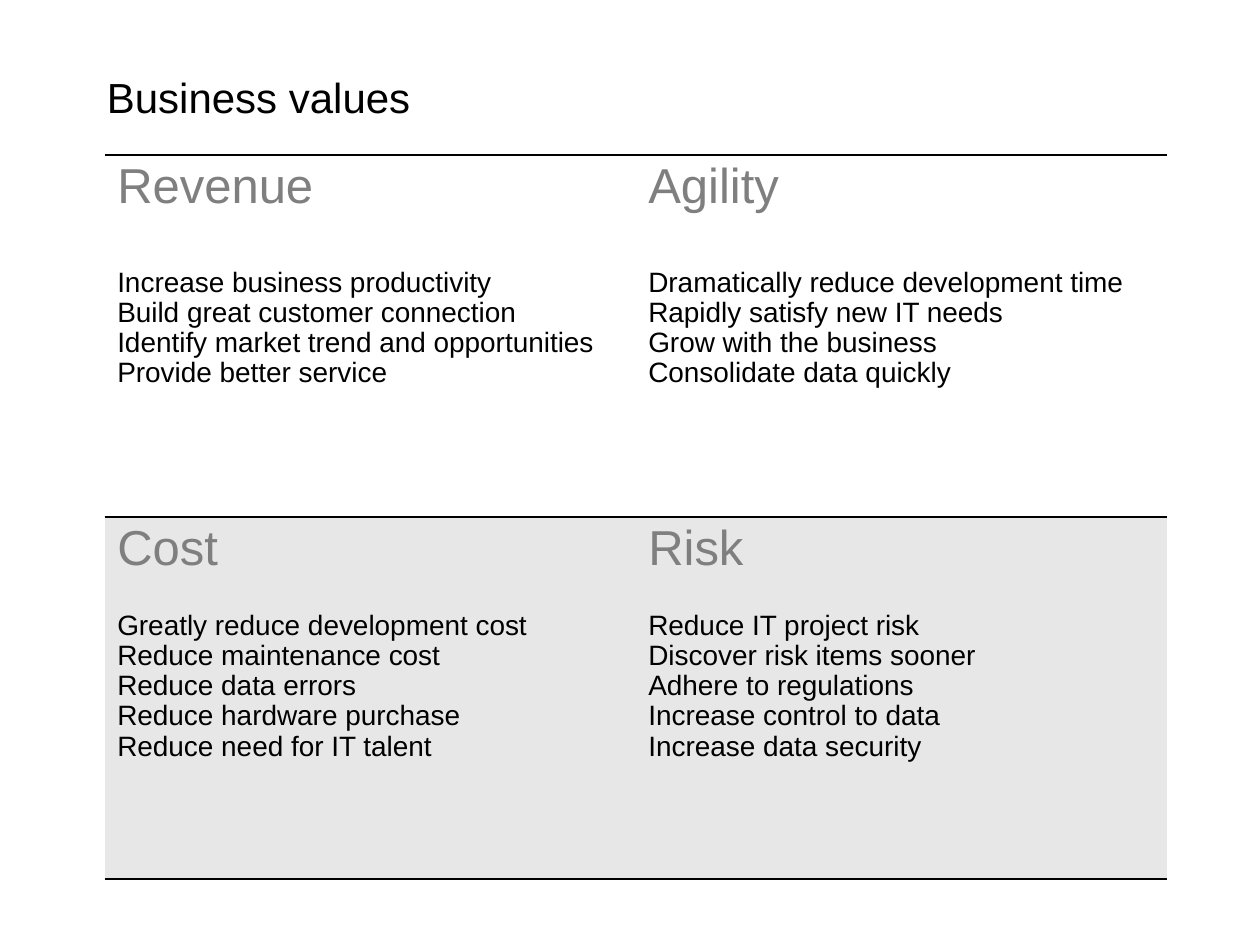
from pptx import Presentation
from pptx.dml.color import RGBColor
from pptx.enum.text import MSO_ANCHOR, MSO_AUTO_SIZE, PP_ALIGN
from pptx.oxml import parse_xml
from pptx.oxml.ns import nsdecls
from pptx.util import Cm, Pt

COLORS = {
    "text": "000000",
    "heading": "7F7F7F",
    "border": "000000",
    "plain": "FFFFFF",
    "shaded": "E7E7E7",
}
FONT = "Arial"
BORDER_WIDTH = Pt(0.96)

# Each row: fill, gap below the headings in points, then (heading, points) per cell.
ROWS = [
    ("plain", 31, [
        ("Revenue", ["Increase business productivity",
                     "Build great customer connection",
                     "Identify market trend and opportunities",
                     "Provide better service"]),
        ("Agility", ["Dramatically reduce development time",
                     "Rapidly satisfy new IT needs",
                     "Grow with the business",
                     "Consolidate data quickly"]),
    ]),
    ("shaded", 20, [
        ("Cost", ["Greatly reduce development cost",
                  "Reduce maintenance cost",
                  "Reduce data errors",
                  "Reduce hardware purchase",
                  "Reduce need for IT talent"]),
        ("Risk", ["Reduce IT project risk",
                  "Discover risk items sooner",
                  "Adhere to regulations",
                  "Increase control to data",
                  "Increase data security"]),
    ]),
]


def write(paragraph, text, size=16, color="text", space_before=0, line_spacing=0.97):
    paragraph.text = text
    paragraph.alignment = PP_ALIGN.LEFT
    paragraph.space_before = Pt(space_before)
    paragraph.line_spacing = line_spacing
    font = paragraph.font
    font.name = FONT
    font.size = Pt(size)
    font.color.rgb = RGBColor.from_string(COLORS[color])


def set_borders(cell):
    """Rule the top and bottom of a cell and leave its sides open."""
    properties = cell._tc.get_or_add_tcPr()
    solid = f'<a:solidFill><a:srgbClr val="{COLORS["border"]}"/></a:solidFill>'
    for side, line in (("L", "<a:noFill/>"), ("R", "<a:noFill/>"), ("T", solid), ("B", solid)):
        properties.append(parse_xml(
            f'<a:ln{side} {nsdecls("a")} w="{int(BORDER_WIDTH)}">{line}</a:ln{side}>'))


def fill_cell(cell, heading, points, fill, gap):
    set_borders(cell)
    cell.fill.solid()
    cell.fill.fore_color.rgb = RGBColor.from_string(COLORS[fill])
    frame = cell.text_frame
    write(frame.paragraphs[0], heading, size=28, color="heading")
    for index, point in enumerate(points):
        write(frame.add_paragraph(), point, space_before=0 if index else gap)


def add_value_table(slide, left, top, width, height):
    column_count = len(ROWS[0][2])
    table = slide.shapes.add_table(len(ROWS), column_count, left, top, width, height).table
    table.first_row = False
    table.horz_banding = False
    for row_index, (fill, gap, cells) in enumerate(ROWS):
        for column_index, (heading, points) in enumerate(cells):
            fill_cell(table.cell(row_index, column_index), heading, points, fill, gap)


def place_title(slide, text, left, top, width, height):
    title = slide.shapes.title
    title.left, title.top, title.width, title.height = left, top, width, height
    frame = title.text_frame
    frame.auto_size = MSO_AUTO_SIZE.NONE
    frame.vertical_anchor = MSO_ANCHOR.BOTTOM
    write(frame.paragraphs[0], text, size=24, line_spacing=1.0)


def main():
    presentation = Presentation()
    presentation.slide_width, presentation.slide_height = Cm(25.4), Cm(19.05)
    slide = presentation.slides.add_slide(presentation.slide_layouts[5])
    add_value_table(slide, Cm(2.11), Cm(3.12), Cm(21.41), Cm(14.6))
    place_title(slide, "Business values", Cm(1.9), Cm(1.32), Cm(19), Cm(1.27))
    presentation.save("out.pptx")


if __name__ == "__main__":
    main()
